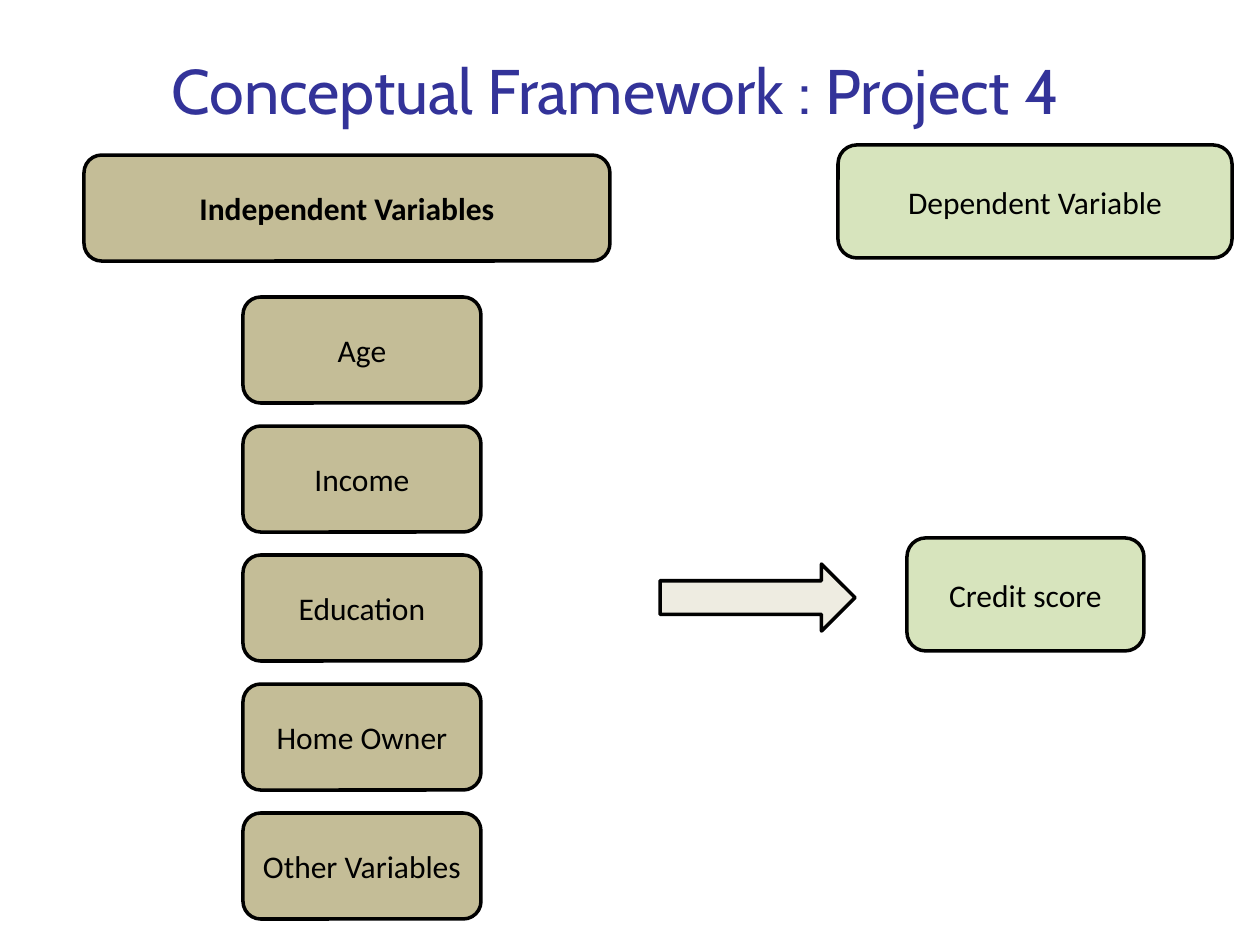
from pptx import Presentation
from pptx.dml.color import RGBColor
from pptx.enum.shapes import MSO_SHAPE
from pptx.enum.text import MSO_ANCHOR, MSO_AUTO_SIZE, PP_ALIGN
from pptx.util import Emu, Pt

PX_PER_INCH = 126
BLACK = RGBColor(0x00, 0x00, 0x00)
INDIGO = RGBColor(0x33, 0x33, 0x99)
TAN = RGBColor(0xC4, 0xBD, 0x97)
GREEN = RGBColor(0xD7, 0xE4, 0xBD)
CREAM = RGBColor(0xEE, 0xEC, 0xE1)

GROUPED_VARIABLES = ["Age", "Income", "Education", "Home Owner"]
VARIABLE_TOP = 297
VARIABLE_PITCH = 129


def px(*lengths):
    """Turn pixel lengths into EMU."""
    return [Emu(round(length * 914400 / PX_PER_INCH)) for length in lengths]


def style_text(frame, text, size, font_name, color, align, anchor, bold=False):
    """Write one formatted paragraph into a text frame."""
    frame.word_wrap = True
    frame.auto_size = MSO_AUTO_SIZE.NONE
    frame.vertical_anchor = anchor
    paragraph = frame.paragraphs[0]
    paragraph.text = text
    paragraph.alignment = align
    font = paragraph.font
    font.size, font.name, font.bold = Pt(size), font_name, bold
    font.color.rgb = color


def add_outlined(shapes, preset, box, fill):
    """Add a filled preset shape with a black outline."""
    outlined = shapes.add_shape(preset, *px(*box))
    outlined.shadow.inherit = False
    outlined.fill.solid()
    outlined.fill.fore_color.rgb = fill
    outlined.line.color.rgb = BLACK
    outlined.line.width = Pt(2)
    return outlined


def add_label(shapes, text, box, fill, bold=False):
    """Add a rounded box with centred text."""
    label = add_outlined(shapes, MSO_SHAPE.ROUNDED_RECTANGLE, box, fill)
    style_text(label.text_frame, text, 18, "Calibri", BLACK,
               PP_ALIGN.CENTER, MSO_ANCHOR.MIDDLE, bold)


def add_variable(shapes, row, text):
    """Add one independent variable at its row in the column."""
    top = VARIABLE_TOP + row * VARIABLE_PITCH
    add_label(shapes, text, (243, top, 238, 106), TAN)


def set_title(slide, text):
    """Place and format the slide title."""
    title = slide.shapes.title
    title.left, title.top, title.width, title.height = px(159, -24, 1074, 157)
    style_text(title.text_frame, text, 36, "Cabin", INDIGO,
               PP_ALIGN.LEFT, MSO_ANCHOR.BOTTOM)


def main():
    """Build the conceptual framework slide."""
    deck = Presentation()
    deck.slide_width, deck.slide_height = px(1260, 945)
    slide = deck.slides.add_slide(deck.slide_layouts[5])
    shapes = slide.shapes

    set_title(slide, "Conceptual Framework : Project 4")
    add_label(shapes, "Credit score", (907, 538, 237, 113), GREEN)
    add_outlined(shapes, MSO_SHAPE.RIGHT_ARROW, (660, 564, 195, 67), CREAM)

    variable_group = shapes.add_group_shape()
    for row, variable in enumerate(GROUPED_VARIABLES):
        add_variable(variable_group.shapes, row, variable)
    add_variable(shapes, len(GROUPED_VARIABLES), "Other Variables")

    add_label(shapes, "Independent Variables", (84, 155, 526, 106), TAN, bold=True)
    add_label(shapes, "Dependent Variable", (838, 145, 394, 113), GREEN)
    deck.save("out.pptx")


if __name__ == "__main__":
    main()
